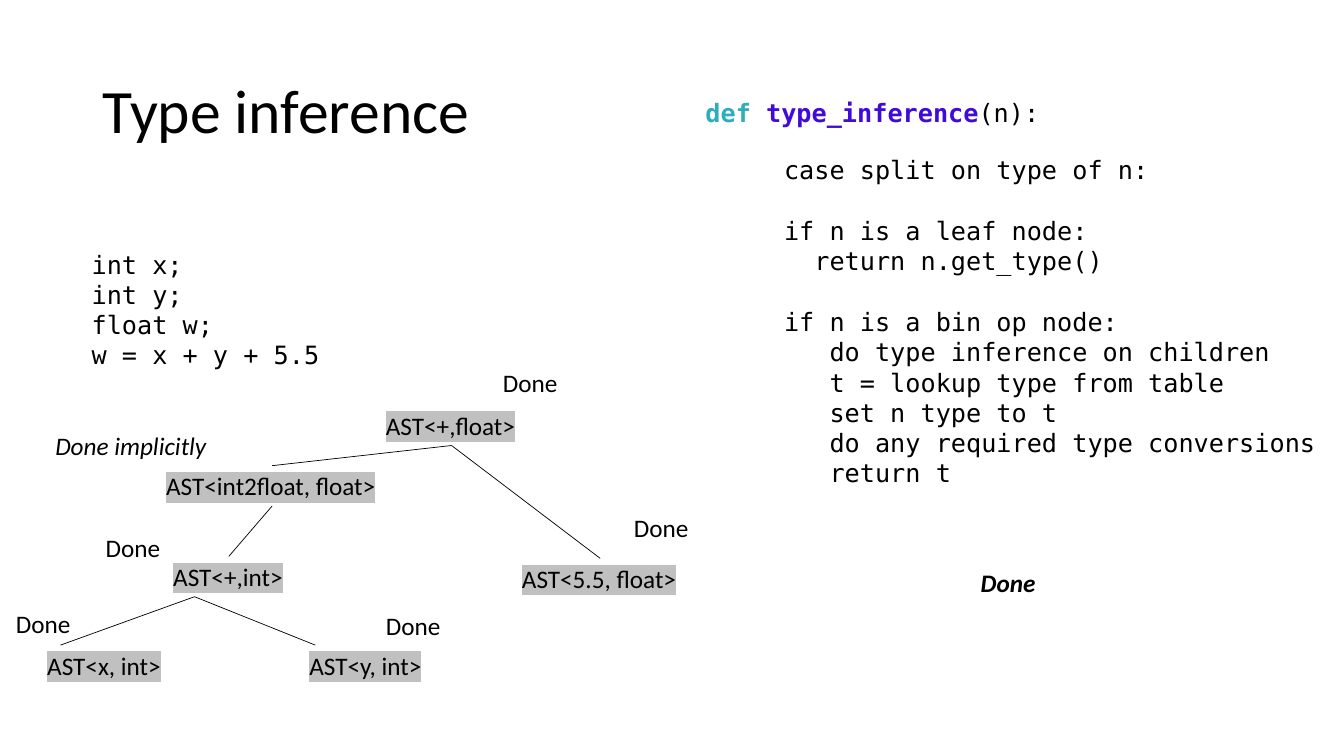
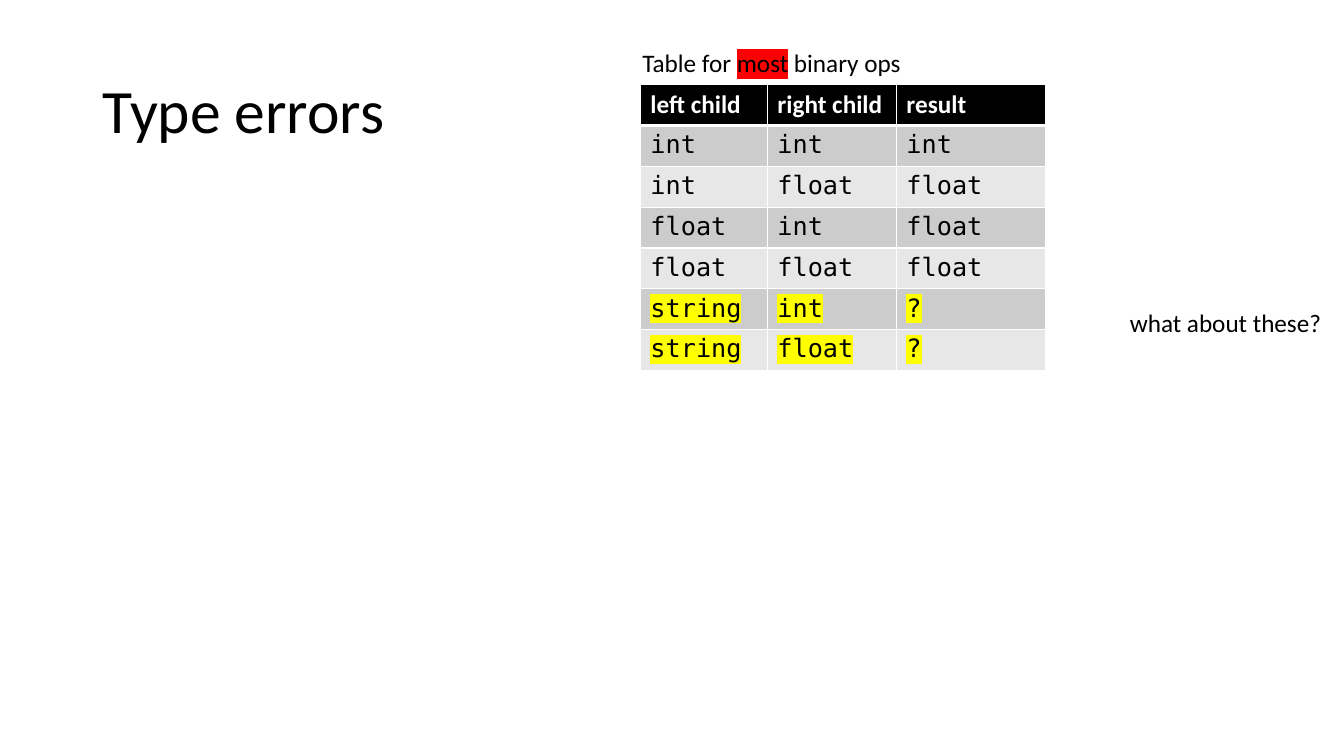
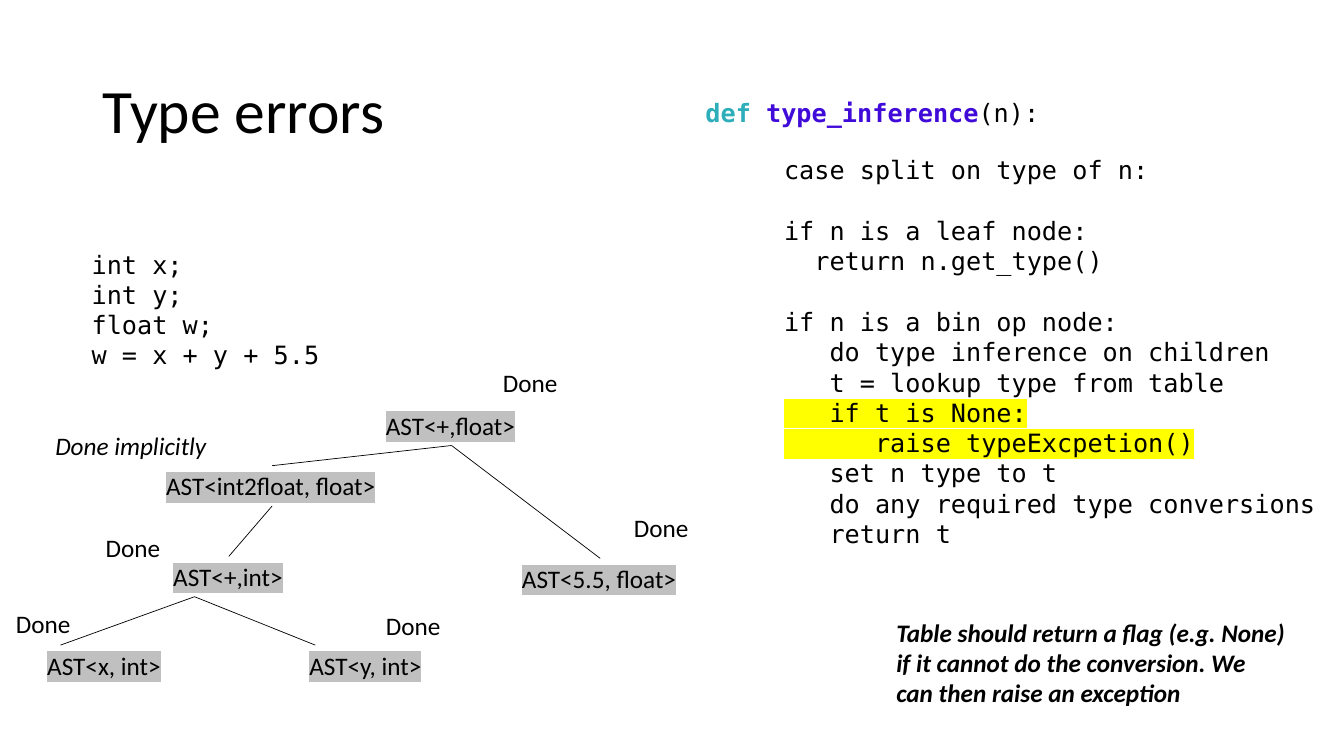
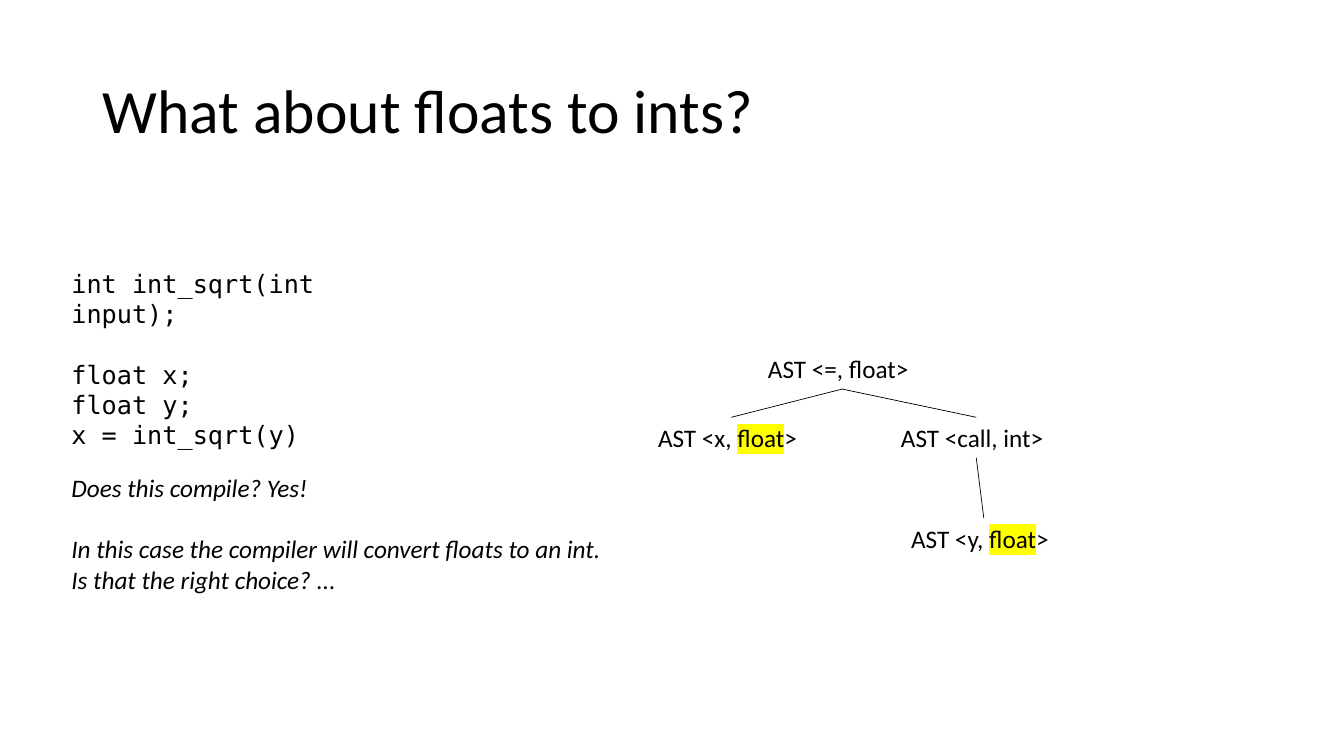
from dataclasses import dataclass, replace

from lxml.etree import SubElement
from pptx import Presentation
from pptx.dml.color import RGBColor as Color
from pptx.enum.shapes import MSO_CONNECTOR as Link
from pptx.enum.text import MSO_ANCHOR as Anchor
from pptx.enum.text import MSO_AUTO_SIZE as Fit
from pptx.enum.text import PP_ALIGN as Align
from pptx.oxml import parse_xml
from pptx.oxml.ns import nsdecls, qn
from pptx.slide import Slide
from pptx.text.text import TextFrame
from pptx.util import Inches, Pt

BLACK = Color(0x00, 0x00, 0x00)
WHITE = Color(0xFF, 0xFF, 0xFF)
SILVER = Color(0xC0, 0xC0, 0xC0)
YELLOW = Color(0xFF, 0xFF, 0x00)
RED = Color(0xFF, 0x00, 0x00)
TEAL = Color(0x2E, 0xAE, 0xBB)
VIOLET = Color(0x40, 0x0B, 0xD9)
BANDS = (Color(0xCC, 0xCC, 0xCC), Color(0xE7, 0xE7, 0xE7))

SANS, MONO = "Calibri", "DejaVu Sans Mono"
GAP = Pt(22)

# The slide is a grid of 40 columns by 30 rows.
WIDTH, HEIGHT = Inches(13.33), Inches(7.5)
COL, ROW = WIDTH / 40, HEIGHT / 30
TALL = 1.6  # rows taken by a box with one line


def across(cols: float) -> int:
    return round(cols * COL)


def down(rows: float) -> int:
    return round(rows * ROW)


@dataclass(frozen=True)
class Span:
    """A piece of a line; a value of None follows the box."""
    text: str
    color: Color | None = None
    bold: bool | None = None
    mark: Color | None = None


Line = str | Span | tuple[Span, ...]


@dataclass(frozen=True)
class Node:
    """A tree label, placed on the grid."""
    line: Line
    x: float
    y: float
    wide: float
    mark: Color | None = None

    @property
    def mid(self) -> float:
        return self.x + self.wide / 2


@dataclass(frozen=True)
class Edge:
    """A link between two nodes, with sideways shifts of its ends."""
    top: str
    low: str
    start: float = 0
    end: float = 0


@dataclass(frozen=True)
class Note:
    text: str
    x: float
    y: float
    wide: float = 2.25
    italic: bool = False


def write(frame: TextFrame, *lines: Line, size: float = 18, face: str = SANS,
          color: Color = BLACK, bold: bool = False, italic: bool = False,
          mark: Color | None = None, pitch: float | None = None) -> None:
    """Fill a frame; an empty line becomes space before the next one."""
    para, gap = None, False
    for line in lines:
        if line == "":
            gap = True
            continue
        para = frame.add_paragraph() if para else frame.paragraphs[0]
        para.alignment = Align.LEFT
        if pitch:
            para.line_spacing = pitch
        if gap:
            para.space_before, gap = GAP, False
        for part in line if isinstance(line, tuple) else (line,):
            span = Span(part) if isinstance(part, str) else part
            run = para.add_run()
            run.text = span.text
            font = run.font
            font.size, font.name, font.italic = Pt(size), face, italic
            font.bold = bold if span.bold is None else span.bold
            font.color.rgb = span.color or color
            if tint := span.mark or mark:
                fill = run._r.rPr.find(qn("a:solidFill"))
                fill.addnext(parse_xml(
                    f'<a:highlight {nsdecls("a")}>'
                    f'<a:srgbClr val="{tint}"/></a:highlight>'))


def box(slide: Slide, x: float, y: float, wide: float, *lines: Line,
        tall: float = TALL, wrap: bool = False, **style) -> None:
    shape = slide.shapes.add_textbox(
        across(x), down(y), across(wide), down(tall))
    frame = shape.text_frame
    frame.word_wrap, frame.auto_size = wrap, Fit.SHAPE_TO_FIT_TEXT
    write(frame, *lines, **style)


def start(deck: Presentation, title: str) -> Slide:
    """Add a slide with its title."""
    slide = deck.slides.add_slide(deck.slide_layouts[5])
    head = slide.shapes.title
    head.left, head.top = across(2.76), down(1.6)
    head.width, head.height = across(34.5), down(5.8)
    frame = head.text_frame
    frame.vertical_anchor, frame.word_wrap = Anchor.MIDDLE, True
    write(frame, title, size=44, pitch=0.9)
    return slide


def tree(slide: Slide, nodes: dict[str, Node], edges: list[Edge]) -> None:
    for edge in edges:
        top, low = nodes[edge.top], nodes[edge.low]
        link = slide.shapes.add_connector(
            Link.STRAIGHT,
            across(top.mid + edge.start), down(top.y + TALL),
            across(low.mid + edge.end), down(low.y))
        link.line.color.rgb, link.line.width = BLACK, Pt(0.5)
        SubElement(link._element.spPr, qn("a:effectLst"))
    for node in nodes.values():
        box(slide, node.x, node.y, node.wide, node.line, mark=node.mark)


def rim(cell, base: float) -> None:
    """Draw white borders, the bottom one of the given width."""
    props = cell._tc.get_or_add_tcPr()
    for spot, (side, width) in enumerate(
            zip("LRTB", (1, 1, 1, base))):
        props.insert(spot, parse_xml(
            f'<a:ln{side} {nsdecls("a")} w="{Pt(width)}"><a:solidFill>'
            f'<a:srgbClr val="{WHITE}"/></a:solidFill></a:ln{side}>'))


def grid(slide: Slide, x: float, y: float, cols: tuple[float, ...],
         tall: float, rows: list[tuple[str, ...]], odd: str) -> None:
    """Draw a banded table; rows that begin with odd are highlighted."""
    table = slide.shapes.add_table(
        len(rows), len(cols), across(x), down(y),
        across(sum(cols)), down(tall * len(rows))).table
    for col, wide in zip(table.columns, cols):
        col.width = across(wide)
    for r, row in enumerate(rows):
        table.rows[r].height = down(tall)
        for c, text in enumerate(row):
            cell = table.cell(r, c)
            cell.fill.solid()
            if r == 0:
                cell.fill.fore_color.rgb = BLACK
                write(cell.text_frame, text, color=WHITE, bold=True)
            else:
                cell.fill.fore_color.rgb = BANDS[(r - 1) % 2]
                write(cell.text_frame, text, face=MONO,
                      mark=YELLOW if row[0] == odd else None)
            rim(cell, 1 if r else 3)


SUM = {
    "x": Node("AST<x, int>", 1.11, 25.6, 4.02, SILVER),
    "y": Node("AST<y, int>", 8.91, 25.6, 3.99, SILVER),
    "add": Node("AST<+,int>", 4.86, 22.08, 3.9, SILVER),
    "cast": Node("AST<int2float, float>", 4.65, 18.48, 6.9, SILVER),
    "num": Node("AST<5.5, float>", 15.24, 22.16, 5.25, SILVER),
    "root": Node("AST<+,float>", 11.19, 16.08, 4.5, SILVER),
}
SUM_EDGES = [
    Edge("root", "cast"),
    Edge("root", "num"),
    Edge("cast", "add"),
    Edge("add", "x", -1.02, -1.32),
    Edge("add", "y", -1.02, -1.52),
]
NOTES = [
    Note("Done", 0.18, 23.96),
    Note("Done", 11.19, 24.04),
    Note("Done", 2.85, 20.92),
    Note("Done", 18.57, 20.12),
    Note("Done", 14.67, 14.36),
    Note("Done implicitly", 1.35, 16.88, 5.22, True),
]
CALL = {
    "root": Node("AST <=, float>", 22.56, 13.84, 5.01),
    "x": Node((Span("AST <x, "), Span("float", mark=YELLOW), Span(">")),
              19.29, 16.56, 4.95),
    "call": Node("AST <call, int>", 26.52, 16.56, 5.07),
    "y": Node((Span("AST <y, "), Span("float", mark=YELLOW), Span(">")),
              26.82, 20.56, 4.92),
}
CALL_EDGES = [Edge("root", "x"), Edge("root", "call"), Edge("call", "y")]

LOOKUP = [
    "case split on type of n:",
    "",
    "if n is a leaf node:",
    "  return n.get_type()",
    "",
    "if n is a bin op node:",
    "   do type inference on children",
    "   t = lookup type from table",
]
CHECK = [
    Span("   if t is None:", mark=YELLOW),
    Span("      raise typeExcpetion()", mark=YELLOW),
]
FINISH = [
    "   set n type to t",
    "   do any required type conversions",
    "   return t",
]
OPS = [
    ("left child", "right child", "result"),
    ("int", "int", "int"),
    ("int", "float", "float"),
    ("float", "int", "float"),
    ("float", "float", "float"),
    ("string", "int", "?"),
    ("string", "float", "?"),
]


def infer(deck: Presentation, title: str, check: list[Line]) -> Slide:
    """Add a slide with the typed tree and the inference code."""
    slide = start(deck, title)
    box(slide, 2.43, 9.68, 7.38, "int x;", "int y;", "float w;",
        "w = x + y + 5.5", tall=5.24, face=MONO)
    box(slide, 20.7, 3.68, 10.68,
        (Span("def ", TEAL, True), Span("type_inference", VIOLET, True),
         Span("(n):")), face=MONO)
    code = LOOKUP + check + FINISH
    box(slide, 23.04, 5.92, 16.44, *code,
        tall=0.4 + 1.21 * len(code), face=MONO)
    tree(slide, SUM, SUM_EDGES)
    for note in NOTES:
        box(slide, note.x, note.y, note.wide, note.text, italic=note.italic)
    return slide


def main() -> None:
    deck = Presentation()
    deck.slide_width, deck.slide_height = WIDTH, HEIGHT

    slide = infer(deck, "Type inference", [])
    box(slide, 28.89, 22.32, 2.25, "Done", bold=True, italic=True)

    slide = start(deck, "Type errors")
    grid(slide, 19.06, 3.36, (3.78, 3.84, 4.44), 1.62, OPS, "string")
    box(slide, 18.82, 1.68, 8.37,
        (Span("Table for "), Span("most", mark=RED), Span(" binary ops")))
    box(slide, 33.33, 12, 6.36, "what about these?")

    slide = infer(deck, "Type errors", CHECK)
    box(slide, 26.38, 24.28, 12.3, "Table should return a flag (e.g. None)",
        "if it cannot do the conversion. We", "can then raise an exception",
        tall=4.04, bold=True, italic=True)

    slide = start(deck, "What about floats to ints?")
    box(slide, 1.83, 10.44, 11.37, "int int_sqrt(int input);", "",
        "float x;", "float y;", "x = int_sqrt(y)",
        tall=6.48, wrap=True, face=MONO)
    tree(slide, CALL, CALL_EDGES)
    box(slide, 1.83, 18.56, 16.53, "Does this compile? Yes!", "",
        "In this case the compiler will convert floats to an int.",
        "Is that the right choice? ...", tall=5.24, italic=True)

    deck.save("out.pptx")


if __name__ == "__main__":
    main()
